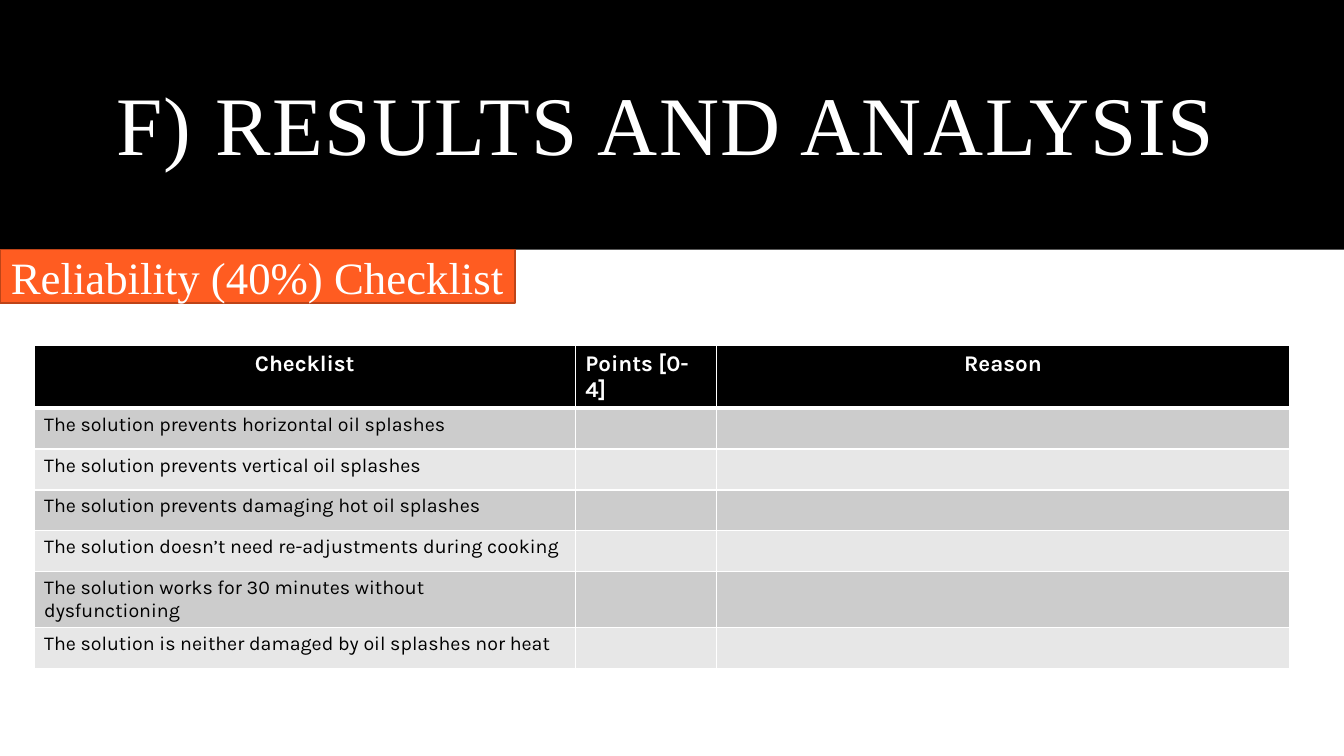
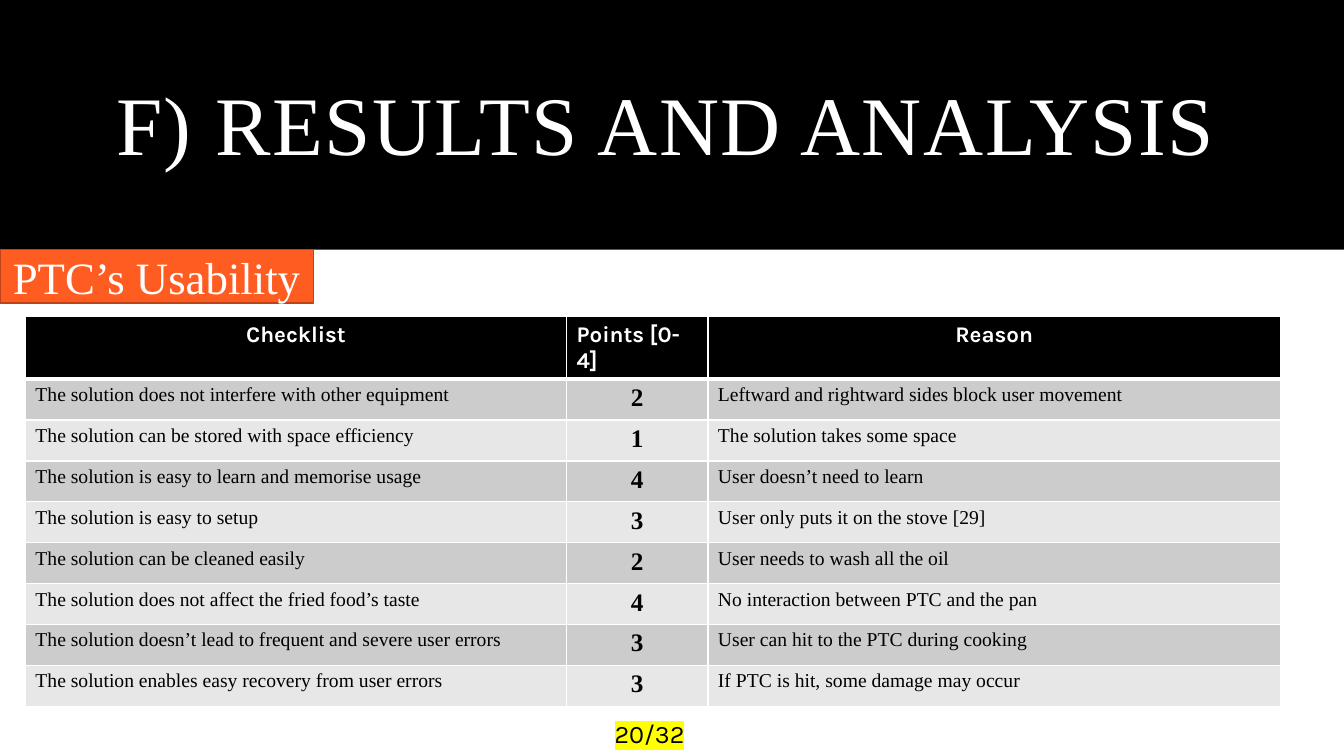
from lxml.etree import SubElement
from pptx import Presentation
from pptx.dml.color import RGBColor
from pptx.enum.shapes import MSO_SHAPE
from pptx.enum.text import MSO_ANCHOR, MSO_AUTO_SIZE, PP_ALIGN
from pptx.oxml import parse_xml
from pptx.oxml.ns import nsdecls, qn
from pptx.util import Cm, Pt

# Content
TITLE = "F) RESULTS AND ANALYSIS"
HEADERS = ("Checklist", "Points [0-4]", "Reason")
SERIF, SANS = "Times New Roman", "Karla"

CHECKLISTS = [
    {
        "label": "Reliability (40%) Checklist",
        "label_width": 12.98,
        "table_at": (0.86, 8.71),
        "font": SANS,
        "rows": [
            ("The solution prevents horizontal oil splashes", "", ""),
            ("The solution prevents vertical oil splashes", "", ""),
            ("The solution prevents damaging hot oil splashes", "", ""),
            ("The solution doesn’t need re-adjustments during cooking", "", ""),
            ("The solution works for 30 minutes without dysfunctioning", "", ""),
            ("The solution is neither damaged by oil splashes nor heat", "", ""),
        ],
        "score": None,
    },
    {
        "label": "PTC’s Usability",
        "label_width": 7.9,
        "table_at": (0.64, 7.98),
        "font": SERIF,
        "rows": [
            ("The solution does not interfere with other equipment", "2",
             "Leftward and rightward sides block user movement"),
            ("The solution can be stored with space efficiency", "1",
             "The solution takes some space"),
            ("The solution is easy to learn and memorise usage", "4",
             "User doesn’t need to learn"),
            ("The solution is easy to setup", "3",
             "User only puts it on the stove [29]"),
            ("The solution can be cleaned easily", "2",
             "User needs to wash all the oil"),
            ("The solution does not affect the fried food’s taste", "4",
             "No interaction between PTC and the pan"),
            ("The solution doesn’t lead to frequent and severe user errors", "3",
             "User can hit to the PTC during cooking"),
            ("The solution enables easy recovery from user errors", "3",
             "If PTC is hit, some damage may occur"),
        ],
        "score": "20/32",
    },
]

# Shared look, lengths in centimetres
BLACK, WHITE, YELLOW = "000000", "FFFFFF", "FFFF00"
ORANGE, RUST = "FF5C21", "BD4418"
STRIPES = ("CCCCCC", "E7E7E7")
PAGE_WIDTH, PAGE_HEIGHT = 33.87, 19.05
BAND_HEIGHT, LABEL_HEIGHT = 6.29, 1.35
TITLE_BOX = (2.67, 0.89, 28.52, 4.72)
SCORE_BOX = (15.24, 17.98, 2.41, 1.02)
COLUMN_WIDTHS = (13.64, 3.56, 14.43)
ROW_HEIGHT = 1.03
THIN, THICK = 1, 3


def rgb(value):
    return RGBColor.from_string(value)


def lengths(values):
    return [Cm(value) for value in values]


def write(frame, text, size, font, color, bold=False, align=PP_ALIGN.LEFT):
    para = frame.paragraphs[0]
    if text:
        para.add_run().text = text
    para.alignment = align
    para.font.size, para.font.name, para.font.bold = Pt(size), font, bold
    para.font.color.rgb = rgb(color)
    return para


def add_block(page, box, fill, line=None):
    block = page.shapes.add_shape(MSO_SHAPE.RECTANGLE, *lengths(box))
    block.shadow.inherit = False
    block.fill.solid()
    block.fill.fore_color.rgb = rgb(fill)
    if line:
        block.line.color.rgb = rgb(line)
        block.line.width = Pt(1)
    else:
        block.line.fill.background()
    return block


def style_layout(layout):
    """Place and format the title that every page inherits."""
    title = layout.placeholders[0]
    title.left, title.top, title.width, title.height = lengths(TITLE_BOX)
    title.text_frame.vertical_anchor = MSO_ANCHOR.MIDDLE
    title.text_frame.auto_size = MSO_AUTO_SIZE.NONE
    styles = title.element.find(".//" + qn("a:lstStyle"))
    for old in list(styles):
        styles.remove(old)
    styles.append(parse_xml(
        f'<a:lvl1pPr {nsdecls("a")} algn="l">'
        '<a:lnSpc><a:spcPct val="90000"/></a:lnSpc>'
        '<a:defRPr sz="5940" b="0" spc="120">'
        f'<a:solidFill><a:srgbClr val="{WHITE}"/></a:solidFill>'
        f'<a:latin typeface="{SERIF}"/></a:defRPr></a:lvl1pPr>'))


def move_to_layout(shape, layout):
    """Put a shape behind everything else on the layout."""
    layout.shapes.element.insert(2, shape.element)


def set_borders(cell, top, bottom):
    properties = cell.fill and cell._tc.get_or_add_tcPr()
    edges = (("L", THIN), ("R", THIN), ("T", top), ("B", bottom))
    for position, (edge, points) in enumerate(edges):
        properties.insert(position, parse_xml(
            f'<a:ln{edge} {nsdecls("a")} w="{Pt(points)}"><a:solidFill>'
            f'<a:srgbClr val="{WHITE}"/></a:solidFill></a:ln{edge}>'))


def fill_cell(cell, color, top=THIN, bottom=THIN):
    cell.fill.solid()
    cell.fill.fore_color.rgb = rgb(color)
    set_borders(cell, top, bottom)


def add_checklist(page, corner, rows, font):
    count = len(rows) + 1
    size = (sum(COLUMN_WIDTHS), ROW_HEIGHT * count)
    table = page.shapes.add_table(
        count, len(HEADERS), *lengths(corner + size)).table
    for column, width in zip(table.columns, COLUMN_WIDTHS):
        column.width = Cm(width)
    for row in table.rows:
        row.height = Cm(ROW_HEIGHT)

    # Header row
    for index, text in enumerate(HEADERS):
        cell = table.cell(0, index)
        fill_cell(cell, BLACK, bottom=THICK)
        align = PP_ALIGN.LEFT if index == 1 else PP_ALIGN.CENTER
        write(cell.text_frame, text, 16, SANS, WHITE, True, align)

    # Striped rows, with the points large and centred
    for number, row in enumerate(rows, start=1):
        for index, text in enumerate(row):
            cell = table.cell(number, index)
            fill_cell(cell, STRIPES[(number - 1) % 2],
                      top=THICK if number == 1 else THIN)
            if index == 1:
                write(cell.text_frame, text, 18, font, BLACK, True,
                      PP_ALIGN.CENTER)
            else:
                write(cell.text_frame, text, 14, font, BLACK)


def add_score(page, text):
    box = page.shapes.add_textbox(*lengths(SCORE_BOX))
    box.text_frame.word_wrap = True
    write(box.text_frame, text, 18, SANS, BLACK)
    for span in box.element.iter(qn("a:r")):
        highlight = SubElement(span.get_or_add_rPr(), qn("a:highlight"))
        SubElement(highlight, qn("a:srgbClr"), val=YELLOW)


def add_page(deck, layout, checklist):
    page = deck.slides.add_slide(layout)
    page.shapes.title.text = TITLE
    label = add_block(
        page, (0, BAND_HEIGHT, checklist["label_width"], LABEL_HEIGHT),
        ORANGE, RUST)
    label.text_frame.vertical_anchor = MSO_ANCHOR.MIDDLE
    write(label.text_frame, checklist["label"], 32, SERIF, WHITE,
          align=PP_ALIGN.CENTER)
    add_checklist(page, checklist["table_at"], checklist["rows"],
                  checklist["font"])
    if checklist["score"]:
        add_score(page, checklist["score"])
    return page


def main():
    deck = Presentation()
    deck.slide_width, deck.slide_height = Cm(PAGE_WIDTH), Cm(PAGE_HEIGHT)
    layout = deck.slide_layouts.get_by_name("Title Only")
    style_layout(layout)
    pages = [add_page(deck, layout, checklist) for checklist in CHECKLISTS]
    band = add_block(pages[0], (0, 0, PAGE_WIDTH, BAND_HEIGHT), BLACK)
    move_to_layout(band, layout)
    deck.save("out.pptx")


if __name__ == "__main__":
    main()
